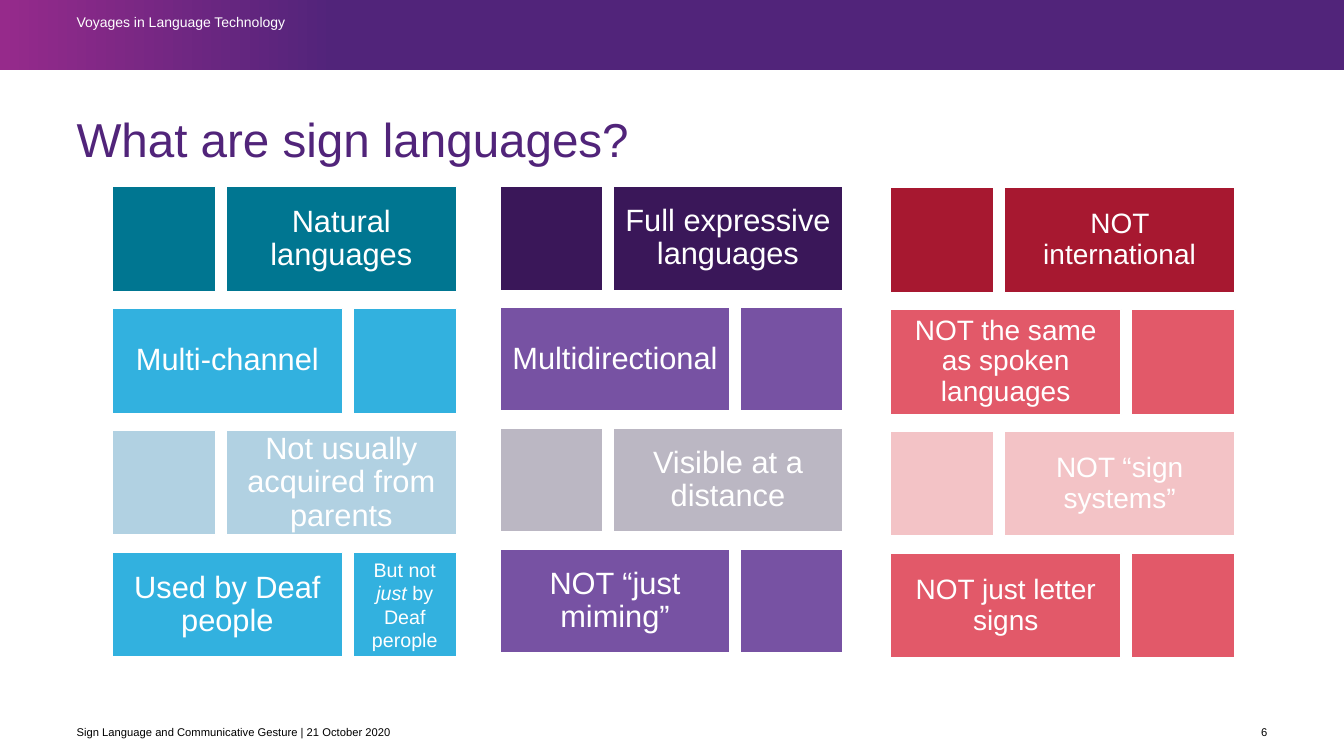
from pptx import Presentation
from pptx.dml.color import RGBColor
from pptx.enum import shapes, text
from pptx.util import Inches, Pt

WHITE = RGBColor(0xFF, 0xFF, 0xFF)
BLACK = RGBColor(0, 0, 0)
PURPLE = RGBColor(0x51, 0x24, 0x7A)
MAGENTA = RGBColor(0x96, 0x2A, 0x8B)
TEAL = RGBColor(0x00, 0x76, 0x91)
SKY = RGBColor(0x32, 0xB1, 0xDF)
ICE = RGBColor(0xB1, 0xD1, 0xE2)
PLUM = RGBColor(0x3A, 0x17, 0x59)
VIOLET = RGBColor(0x77, 0x52, 0xA3)
GREY = RGBColor(0xBB, 0xB7, 0xC3)
CRIMSON = RGBColor(0xA7, 0x18, 0x30)
CORAL = RGBColor(0xE2, 0x59, 0x69)
PINK = RGBColor(0xF3, 0xC3, 0xC6)
LEFT, CENTER, RIGHT = text.PP_ALIGN.LEFT, text.PP_ALIGN.CENTER, text.PP_ALIGN.RIGHT
TOP, MIDDLE = text.MSO_ANCHOR.TOP, text.MSO_ANCHOR.MIDDLE

deck = Presentation()
deck.slide_width, deck.slide_height = Inches(13.33), Inches(7.5)
slide = deck.slides.add_slide(deck.slide_layouts[5])


def write(shape, words, size, color=WHITE, align=CENTER, anchor=MIDDLE, inset=0, space=0.9):
    frame = shape.text_frame
    frame.word_wrap = True
    frame.auto_size = text.MSO_AUTO_SIZE.NONE
    frame.vertical_anchor = anchor
    frame.margin_left = frame.margin_right = Inches(inset)
    frame.margin_top = frame.margin_bottom = Inches(inset)
    para = frame.paragraphs[0]
    para.alignment, para.line_spacing = align, space
    para.font.name, para.font.size, para.font.color.rgb = "Arial", Pt(size), color
    for n, part in enumerate(words.split("*")):  # asterisks enclose italics
        run = para.add_run()
        run.text = part
        if n % 2:
            run.font.italic = True


def block(x, y, w, h, color):
    shape = slide.shapes.add_shape(
        shapes.MSO_SHAPE.RECTANGLE, Inches(x), Inches(y), Inches(w), Inches(h))
    shape.shadow.inherit = False
    shape.fill.solid()
    shape.fill.fore_color.rgb = color
    shape.line.color.rgb = WHITE
    shape.line.width = Pt(1)
    return shape


# Header band
band = block(0, 0, 13.33, 0.69, PURPLE)
band.line.fill.background()
band.fill.gradient()
band.fill.gradient_angle = 0
for stop, (place, color) in zip(band.fill.gradient_stops, [(0, MAGENTA), (0.25, PURPLE)]):
    stop.position, stop.color.rgb = place, color

# Title
title = slide.shapes.title
title.left, title.top = Inches(0.76), Inches(1.15)
title.width, title.height = Inches(11.81), Inches(0.51)
write(title, "What are sign languages?", 34, PURPLE, LEFT)

# Block columns: left, top, wide, small, height, step, text size, inset, rows
columns = [
    (1.11, 1.85, 2.29, 1.03, 1.04, 1.21, 22, 0.07, [
        ("Natural languages", TEAL, ""),
        ("Multi-channel", SKY, ""),
        ("Not usually acquired from parents", ICE, ""),
        ("Used by Deaf people", SKY, "But not *just *by Deaf perople")]),
    (4.96, 1.85, 2.28, 1.02, 1.03, 1.2, 22, 0.09, [
        ("Full expressive languages", PLUM, ""),
        ("Multidirectional", VIOLET, ""),
        ("Visible at a distance", GREY, ""),
        ("NOT “just miming”", VIOLET, "")]),
    (8.83, 1.86, 2.29, 1.03, 1.04, 1.21, 20, 0.08, [
        ("NOT international", CRIMSON, ""),
        ("NOT the same as spoken languages", CORAL, ""),
        ("NOT “sign systems”", PINK, ""),
        ("NOT just letter signs", CORAL, "")]),
]
GAP = 0.1
for left, top, wide, small, high, step, size, inset, rows in columns:
    for n, (label, color, note) in enumerate(rows):
        y = top + n * step
        # The small block changes sides from row to row
        if n % 2:
            wide_x, small_x = left, left + wide + GAP
        else:
            wide_x, small_x = left + small + GAP, left
        write(block(wide_x, y, wide, high, color), label, size, inset=inset)
        side = block(small_x, y, small, high, color)
        if note:
            write(side, note, 14, inset=0.1, space=1.0)

# Header and footer text
for x, y, w, h, words, size, color, align, anchor, space in [
    (0.76, 0.17, 3.67, 0.31, "Voyages in Language Technology", 10, WHITE, LEFT, TOP, 0.8),
    (0.76, 7.13, 3.67, 0.26, "Sign Language and Communicative Gesture | 21 October 2020",
     8, BLACK, LEFT, MIDDLE, 1.0),
    (12.26, 7.13, 0.31, 0.26, "6", 8, BLACK, RIGHT, MIDDLE, 1.0),
]:
    label = slide.shapes.add_textbox(Inches(x), Inches(y), Inches(w), Inches(h))
    write(label, words, size, color, align, anchor, space=space)

deck.save("out.pptx")
